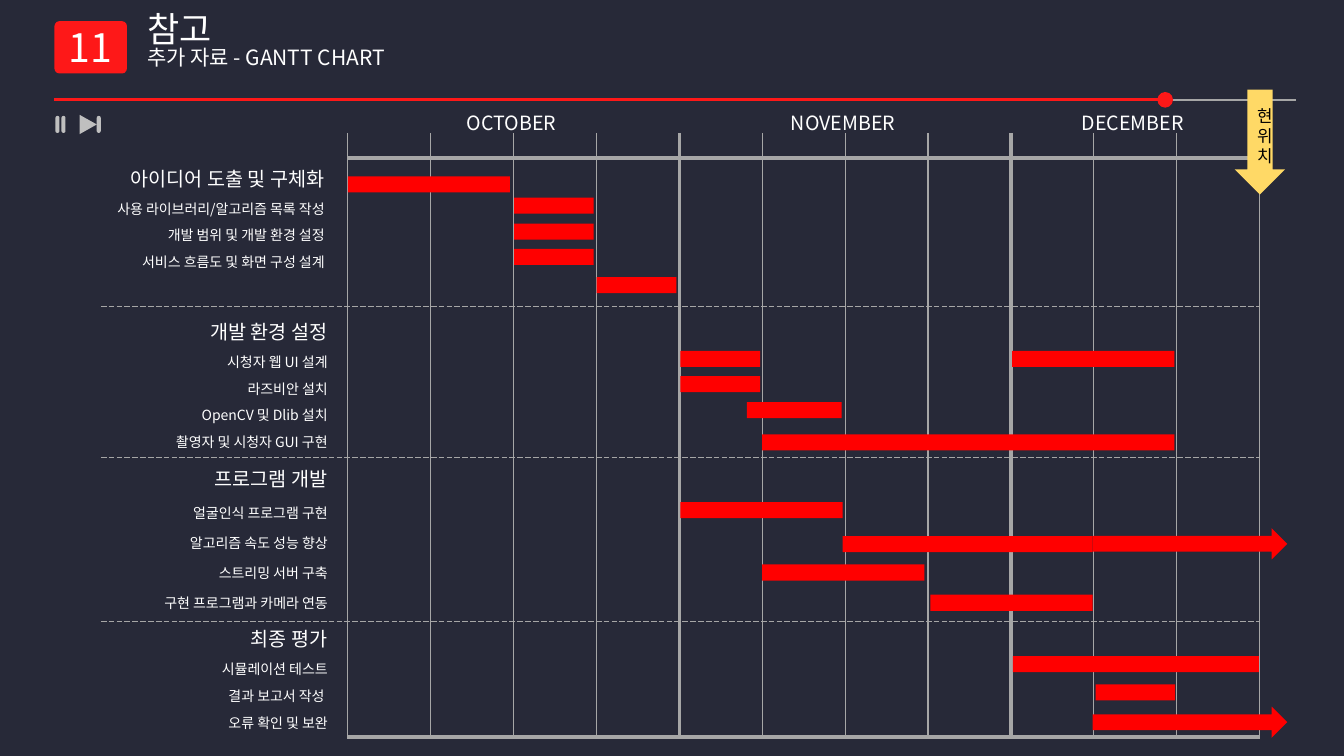
from lxml import etree
from pptx import Presentation
from pptx.dml.color import RGBColor
from pptx.enum.dml import MSO_LINE
from pptx.enum.shapes import MSO_CONNECTOR, MSO_SHAPE
from pptx.enum.text import MSO_ANCHOR, PP_ALIGN
from pptx.oxml.ns import qn
from pptx.util import Pt

STRAIGHT = MSO_CONNECTOR.STRAIGHT
RECT = MSO_SHAPE.RECTANGLE
ROUND = MSO_SHAPE.ROUNDED_RECTANGLE
TRIANGLE = MSO_SHAPE.ISOSCELES_TRIANGLE
RIGHT_ARROW = MSO_SHAPE.RIGHT_ARROW
DOWN_ARROW = MSO_SHAPE.DOWN_ARROW
LONG_DASH = MSO_LINE.LONG_DASH
MIDDLE = MSO_ANCHOR.MIDDLE
LEFT, CENTER, RIGHT = PP_ALIGN.LEFT, PP_ALIGN.CENTER, PP_ALIGN.RIGHT

FONT = "Noto Sans CJK KR"
NO_STYLE = "{2D5ABB26-0587-4C30-8999-92F81FD0307C}"
NAVY = RGBColor(0x27, 0x29, 0x38)
WHITE = RGBColor(0xFF, 0xFF, 0xFF)
BLACK = RGBColor(0, 0, 0)
ACCENT = RGBColor(0xFE, 0x18, 0x18)
RED = RGBColor(0xFF, 0, 0)
GRAY = RGBColor(0xA6, 0xA6, 0xA6)
ICON_GRAY = RGBColor(0xBF, 0xBF, 0xBF)
YELLOW = RGBColor(0xFF, 0xD9, 0x66)


def write(p, text, size, align, color=WHITE):
    p.alignment = align
    r = p.add_run()
    r.text = text
    r.font.size = Pt(size)
    r.font.color.rgb = color
    r.font.name = FONT
    etree.SubElement(r.font._element, qn("a:ea"), typeface=FONT)


def add_block(shapes, kind, x, y, w, h, color):
    sp = shapes.add_shape(kind, Pt(x), Pt(y), Pt(w), Pt(h))
    sp.shadow.inherit = False
    sp.fill.solid()
    sp.fill.fore_color.rgb = color
    sp.line.fill.background()
    return sp


prs = Presentation()
prs.slide_width, prs.slide_height = Pt(960), Pt(540)
s = prs.slides.add_slide(prs.slide_layouts[6])
s.background.fill.solid()
s.background.fill.fore_color.rgb = NAVY

badge = add_block(s.shapes, ROUND, 38.9, 15.1, 51.8, 37.4, ACCENT)
badge.adjustments[0] = 0.096
badge.text_frame.vertical_anchor = MIDDLE
write(badge.text_frame.paragraphs[0], "11", 28, CENTER)

LINES = [
    (38.9, 925.9, 71.3, GRAY, 1.75, None),
    (38.9, 832.3, 71.3, ACCENT, 2.25, "oval"),
    (72, 900, 218.9, GRAY, 0.5, "dash"),
    (72, 900, 326.9, GRAY, 0.5, "dash"),
    (72, 900, 443.5, GRAY, 0.5, "dash"),
]
for x1, x2, y, color, width, finish in LINES:
    line = s.shapes.add_connector(STRAIGHT, Pt(x1), Pt(y), Pt(x2), Pt(y))
    line.line.color.rgb = color
    line.line.width = Pt(width)
    if finish == "dash":
        line.line.dash_style = LONG_DASH
    elif finish == "oval":
        etree.SubElement(line.line._get_or_add_ln(), qn("a:tailEnd"),
                         type="oval", w="lg", len="lg")
    etree.SubElement(line._element.spPr, qn("a:effectLst"))

controls = s.shapes.add_group_shape()
play = add_block(controls.shapes, TRIANGLE, 56.2, 82.8, 13.7, 12.2, ICON_GRAY)
play.rotation = 90
for x in (69.1, 39.6, 43.9):
    pill = add_block(controls.shapes, ROUND, x, 82.8, 2.9, 12.2, ICON_GRAY)
    pill.adjustments[0] = 0.5

TEXTS = [
    (98, 8, 260, [("참고", 25), ("추가 자료 - GANTT CHART", 15)], LEFT),
    (314.6, 75.6, 101.5, [("OCTOBER", 14)], CENTER),
    (538.6, 75.6, 127.4, [("NOVEMBER", 14)], CENTER),
    (753.8, 75.6, 110.9, [("DECEMBER", 14)], CENTER),
]
for x, y, w, rows, align in TEXTS:
    tf = s.shapes.add_textbox(Pt(x), Pt(y), Pt(w), Pt(24.5)).text_frame
    tf.word_wrap = True
    for i, (text, size) in enumerate(rows):
        p = tf.add_paragraph() if i else tf.paragraphs[0]
        if len(rows) > 1:
            p.line_spacing = 0.8
        write(p, text, size, align)

WEEKS = 11
MONTH_ENDS = (4, 8)
TABLES = [
    (248.4, 95, 651.6, WEEKS, [18, 413.3], []),
    (1.4, 114.5, 237.6, 1, [24.5] + [19.2] * 4,
     ["아이디어 도출 및 구체화", "사용 라이브러리/알고리즘 목록 작성",
      "개발 범위 및 개발 환경 설정", "서비스 흐름도 및 화면 구성 설계"]),
    (3.6, 223.9, 237.6, 1, [24.5] + [19.2] * 4,
     ["개발 환경 설정", "시청자 웹 UI 설계", "라즈비안 설치",
      "OpenCV 및 Dlib 설치", "촬영자 및 시청자 GUI 구현"]),
    (3.6, 328.3, 237.6, 1, [26.6] + [21.6] * 4,
     ["프로그램 개발", "얼굴인식 프로그램 구현", "알고리즘 속도 성능 향상",
      "스트리밍 서버 구축", "구현 프로그램과 카메라 연동"]),
    (3.6, 443.5, 237.6, 1, [24.5] + [19.2] * 3,
     ["최종 평가", "시뮬레이션 테스트", "결과 보고서 작성 ", "오류 확인 및 보완"]),
]
for x, y, w, cols, heights, labels in TABLES:
    frame = s.shapes.add_table(len(heights), cols, Pt(x), Pt(y), Pt(w), Pt(sum(heights)))
    table = frame.table
    table.first_row = table.horz_banding = False
    table._tbl.tblPr.find(qn("a:tableStyleId")).text = NO_STYLE
    for col in table.columns:
        col.width = Pt(w / cols)
    for i, height in enumerate(heights):
        table.rows[i].height = Pt(height)
        for j in range(cols):
            cell = table.cell(i, j)
            cell.margin_top = cell.margin_bottom = 0
            cell.vertical_anchor = MIDDLE
            p = cell.text_frame.paragraphs[0]
            if i < len(labels):
                write(p, labels[i], 10 if i else 14, RIGHT)
            else:
                etree.SubElement(p._p, qn("a:endParaRPr"), sz="800")
            if cols == WEEKS:
                borders = {"lnL": 3 if j in MONTH_ENDS else 1,
                           "lnR": 3 if j + 1 in MONTH_ENDS else 1}
                if i:
                    borders["lnT"] = 3
                borders["lnB"] = 3
                for side, width in borders.items():
                    ln = etree.SubElement(cell._tc.get_or_add_tcPr(), qn("a:" + side),
                                          w=str(Pt(width)))
                    fill = etree.SubElement(ln, qn("a:solidFill"))
                    etree.SubElement(fill, qn("a:srgbClr"), val=str(GRAY))
            cell.fill.background()

BAR_HEIGHT, ARROW_HEIGHT = 11.5, 22.3
BARS = [
    (248.4, 126, 115.9),
    (367.2, 141.1, 56.9),
    (367.2, 159.8, 56.9),
    (367.2, 177.8, 56.9),
    (426.2, 198, 56.9),
    (486, 250.6, 56.9),
    (722.9, 250.6, 115.9),
    (486, 268.6, 56.9),
    (533.5, 287.3, 67.7),
    (544.3, 310.3, 294.5),
    (486, 358.6, 115.9),
    (601.9, 383, 178.6),
    (544.3, 403.2, 115.9),
    (664.6, 424.8, 115.9),
    (723.6, 468.7, 175.7),
    (782.6, 488.9, 56.9),
]
for x, y, w in BARS:
    add_block(s.shapes, RECT, x, y, w, BAR_HEIGHT, RED)
for y in (377.3, 504.7):
    add_block(s.shapes, RIGHT_ARROW, 780.5, y, 139, ARROW_HEIGHT, RED)

today = add_block(s.shapes, DOWN_ARROW, 882, 64.1, 36, 74.9, YELLOW)
tf = today.text_frame
tf.word_wrap = True
tf.vertical_anchor = MIDDLE
write(tf.paragraphs[0], "현위치", 12, CENTER, BLACK)

prs.save("out.pptx")
